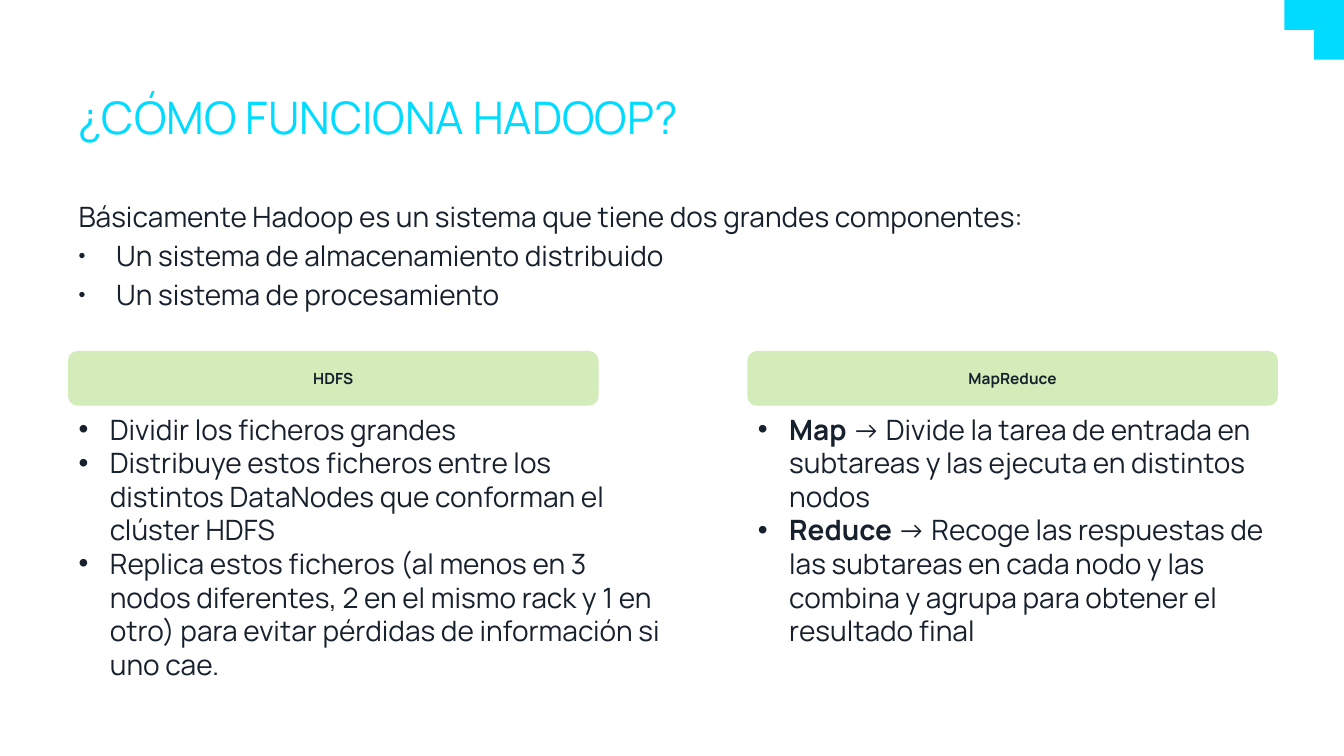
from lxml import etree
from pptx import Presentation
from pptx.dml.color import RGBColor
from pptx.enum.shapes import MSO_SHAPE
from pptx.enum.text import MSO_ANCHOR, PP_ALIGN
from pptx.oxml.ns import qn
from pptx.util import Cm, Pt

CORNER = MSO_SHAPE.CORNER
ROUNDED = MSO_SHAPE.ROUNDED_RECTANGLE
TOP, MIDDLE = MSO_ANCHOR.TOP, MSO_ANCHOR.MIDDLE
LEFT, CENTER = PP_ALIGN.LEFT, PP_ALIGN.CENTER

FONT = "Manrope"
COLORS = {"accent": "00DBFF", "text": "17212D", "header": "D3ECB9"}
SLIDE_WIDTH, SLIDE_HEIGHT = Cm(33.87), Cm(19.05)
MARGIN = Cm(1.73)

INTRO = [
    "Básicamente Hadoop es un sistema que tiene dos grandes componentes:",
    "Un sistema de almacenamiento distribuido",
    "Un sistema de procesamiento",
]
HDFS = [
    "Dividir los ficheros grandes",
    "Distribuye estos ficheros entre los distintos DataNodes que conforman el clúster HDFS",
    "Replica estos ficheros (al menos en 3 nodos diferentes, 2 en el mismo rack y 1 en otro) "
    "para evitar pérdidas de información si uno cae.",
]
MAP_REDUCE = [
    [("Map ", True),
     ("→ Divide la tarea de entrada en subtareas y las ejecuta en distintos nodos", False)],
    [("Reduce ", True),
     ("→ Recoge las respuestas de las subtareas en cada nodo y las combina y agrupa "
      "para obtener el resultado final", False)],
]


def color(name):
    return RGBColor.from_string(COLORS[name])


def add_bullet(paragraph, indent, percent):
    properties = paragraph._p.get_or_add_pPr()
    properties.set("marL", str(indent))
    properties.set("indent", str(-indent))
    etree.SubElement(properties, qn("a:buSzPct"), val=str(percent * 1000))
    etree.SubElement(properties, qn("a:buFont"), typeface="Arial")
    etree.SubElement(properties, qn("a:buChar"), char="•")


def write_text(shape, paragraphs, size=20, color_name="text", bold=False, align=LEFT,
               anchor=TOP, indent=None, bullet_percent=100, first_bullet=0, space_before=0):
    """Fill a shape; a paragraph is a string or a list of (text, bold) runs."""
    frame = shape.text_frame
    frame.word_wrap = True
    frame.vertical_anchor = anchor
    for index, content in enumerate(paragraphs):
        paragraph = frame.add_paragraph() if index else frame.paragraphs[0]
        paragraph.alignment = align
        if index and space_before:
            paragraph.space_before = Pt(space_before)
        if indent and index >= first_bullet:
            add_bullet(paragraph, indent, bullet_percent)
        runs = [(content, bold)] if isinstance(content, str) else content
        for text, run_bold in runs:
            run = paragraph.add_run()
            run.text = text
            run.font.name = FONT
            run.font.size = Pt(size)
            run.font.bold = run_bold
            run.font.color.rgb = color(color_name)


def add_filled(slide, preset, color_name, left, top, width, height):
    shape = slide.shapes.add_shape(preset, left, top, width, height)
    shape.shadow.inherit = False
    shape.fill.solid()
    shape.fill.fore_color.rgb = color(color_name)
    shape.line.fill.background()
    return shape


def add_corner(slide, size):
    corner = add_filled(slide, CORNER, "accent", SLIDE_WIDTH - size, 0, size, size)
    corner.rotation = 180


def add_title(slide, left, top, width, height):
    box = slide.shapes.add_textbox(left, top, width, height)
    write_text(box, ["¿CÓMO FUNCIONA HADOOP?"], size=32, color_name="accent", anchor=MIDDLE)


def add_intro(slide, left, top, width, height):
    box = slide.shapes.add_textbox(left, top, width, height)
    write_text(box, INTRO, indent=Cm(0.95), bullet_percent=70, first_bullet=1, space_before=4)


def add_component(slide, heading, points, left, top, width, height):
    """Place a green heading with its bullet list below."""
    header = add_filled(slide, ROUNDED, "header", left, top, Cm(13.34), Cm(1.35))
    header.line.color.rgb = color("header")
    header.line.width = Pt(0.85)
    write_text(header, [heading], size=11, bold=True, align=CENTER, anchor=MIDDLE)
    list_offset = Cm(1.4)
    box = slide.shapes.add_textbox(left, top + list_offset, width, height - list_offset)
    write_text(box, points, indent=Cm(0.79))


def main():
    presentation = Presentation()
    presentation.slide_width = SLIDE_WIDTH
    presentation.slide_height = SLIDE_HEIGHT
    slide = presentation.slides.add_slide(presentation.slide_layouts[6])
    add_corner(slide, Cm(1.5))
    add_title(slide, MARGIN, Cm(1.93), Cm(22.86), Cm(2))
    add_intro(slide, MARGIN, Cm(4.9), Cm(30.4), Cm(3.73))
    columns_top = Cm(8.86)
    add_component(slide, "HDFS", HDFS, MARGIN, columns_top, Cm(15.21), Cm(9.27))
    add_component(slide, "MapReduce", MAP_REDUCE, Cm(18.85), columns_top, Cm(14.27), Cm(8.41))
    presentation.save("out.pptx")


if __name__ == "__main__":
    main()
